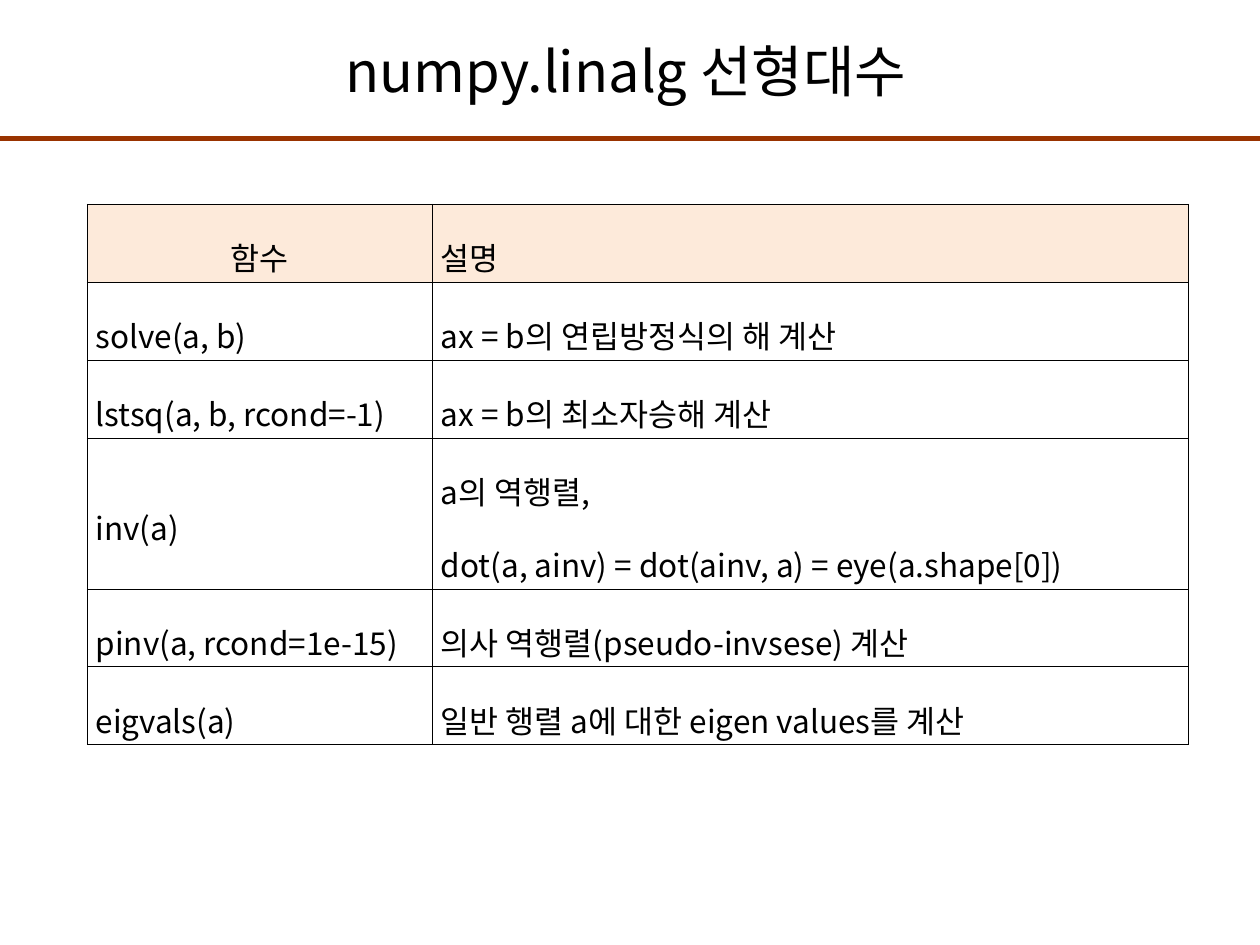
from lxml import etree
from pptx import Presentation
from pptx import util as u
from pptx.dml.color import RGBColor
from pptx.enum import shapes, text
from pptx.oxml import ns

PX = 9144  # EMU per px, 100 px to the inch
FONT = "Noto Sans CJK KR"
BLACK = "000000"


def rgb(color):
    return RGBColor.from_string(color)


def style(p, size, align):
    p.alignment = align
    f = p.font
    f.size, f.name, f.color.rgb = u.Pt(size), FONT, rgb(BLACK)
    # Hangul takes the East Asian typeface
    etree.SubElement(f._element, ns.qn("a:ea"), typeface=FONT)


prs = Presentation()
prs.slide_width, prs.slide_height = 1000 * PX, 750 * PX
s = prs.slides.add_slide(prs.slide_layouts[5])

rule = s.shapes.add_connector(shapes.MSO_CONNECTOR.STRAIGHT, 0, 110 * PX, 1000 * PX, 110 * PX)
rule.line.color.rgb = rgb("993300")
rule.line.width = u.Pt(3)
etree.SubElement(rule._element.spPr, ns.qn("a:effectLst"))

title = s.shapes.title
title.left, title.top, title.width, title.height = 47 * PX, 16 * PX, 900 * PX, 79 * PX
tf = title.text_frame
tf.text = "numpy.linalg 선형대수"
tf.vertical_anchor = text.MSO_ANCHOR.MIDDLE
style(tf.paragraphs[0], 32, text.PP_ALIGN.CENTER)

functions = [
    ("함수", "설명"),
    ("solve(a, b)", "ax = b의 연립방정식의 해 계산"),
    ("lstsq(a, b, rcond=-1)", "ax = b의 최소자승해 계산"),
    ("inv(a)", "a의 역행렬,\ndot(a, ainv) = dot(ainv, a) = eye(a.shape[0])"),
    ("pinv(a, rcond=1e-15)", "의사 역행렬(pseudo-invsese) 계산"),
    ("eigvals(a)", "일반 행렬 a에 대한 eigen values를 계산"),
]
widths = [274, 600]
heights = [47, 43, 43, 81, 43, 43]

table = s.shapes.add_table(len(heights), len(widths), 69 * PX, 162 * PX,
                           sum(widths) * PX, sum(heights) * PX).table
table.first_row = table.horz_banding = False
for column, width in zip(table.columns, widths):
    column.width = width * PX
for row, height in zip(table.rows, heights):
    row.height = height * PX

for i, row in enumerate(functions):
    for j, label in enumerate(row):
        cell = table.cell(i, j)
        cell.text = label
        cell.vertical_anchor = text.MSO_ANCHOR.MIDDLE
        cell.margin_left = cell.margin_right = 7 * PX
        cell.margin_top = cell.margin_bottom = 2 * PX
        for p in cell.text_frame.paragraphs:
            centred = i == 0 and j == 0
            style(p, 18, text.PP_ALIGN.CENTER if centred else text.PP_ALIGN.JUSTIFY)
            p.line_spacing = 1.6
        tc_pr = cell._tc.get_or_add_tcPr()
        for side in ("lnL", "lnR", "lnT", "lnB"):
            ln = etree.SubElement(tc_pr, ns.qn("a:" + side), w=str(u.Pt(0.28)))
            fill = etree.SubElement(ln, ns.qn("a:solidFill"))
            etree.SubElement(fill, ns.qn("a:srgbClr"), val=BLACK)
        cell.fill.solid()
        cell.fill.fore_color.rgb = rgb("FFFFFF" if i else "FDEADA")

prs.save("out.pptx")
